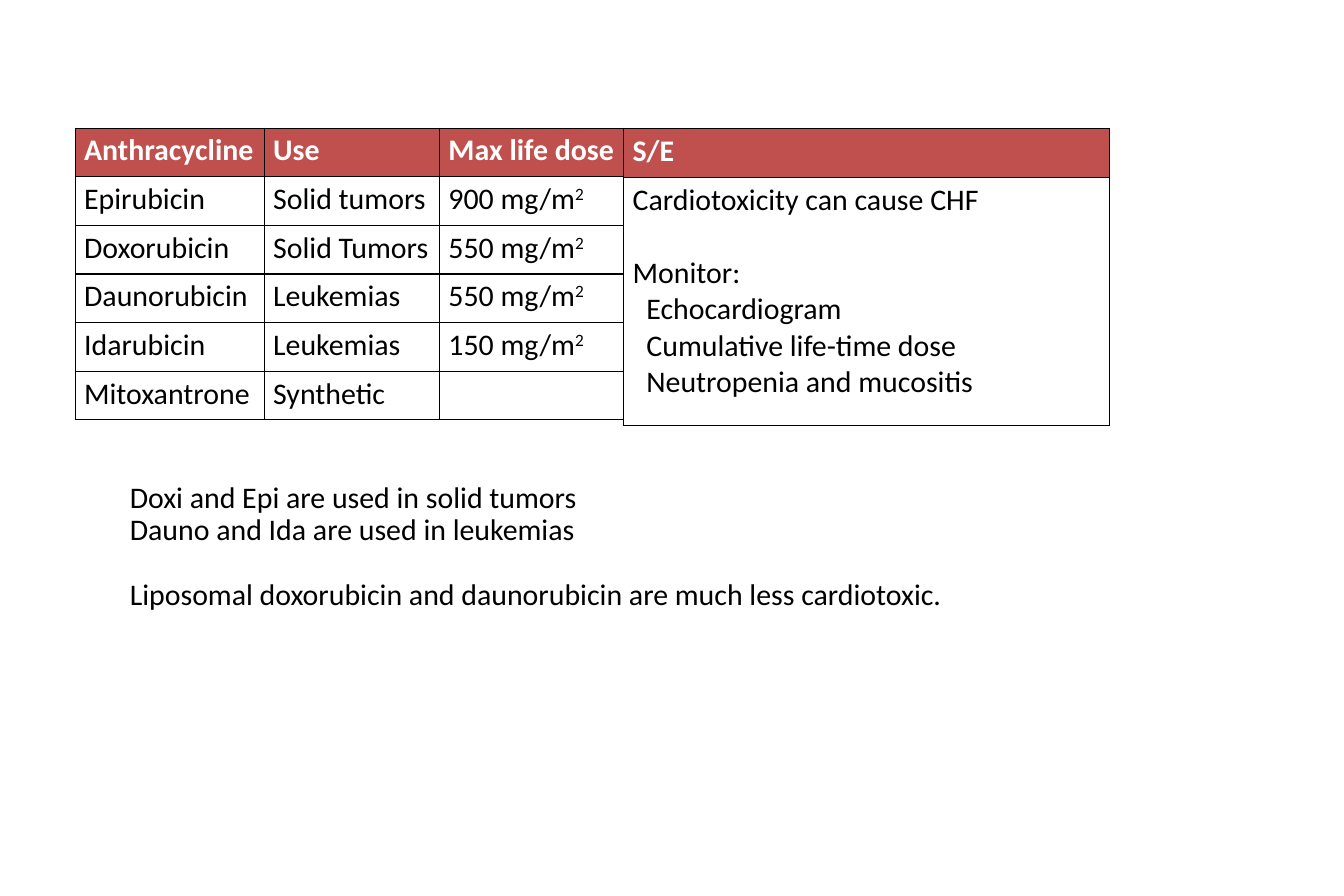
from lxml import etree
from pptx import Presentation
from pptx.dml.color import RGBColor
from pptx.oxml.ns import qn
from pptx.util import Cm, Pt

# Content
DOSE_ROWS = [
    ("Anthracycline", "Use", "Max life dose"),
    ("Epirubicin", "Solid tumors", "900 mg/m²"),
    ("Doxorubicin", "Solid Tumors", "550 mg/m²"),
    ("Daunorubicin", "Leukemias", "550 mg/m²"),
    ("Idarubicin", "Leukemias", "150 mg/m²"),
    ("Mitoxantrone", "Synthetic", ""),
]
# Each line: text, indent in cm, space before in points
SIDE_EFFECTS = [
    ("Cardiotoxicity can cause CHF", 0, 0),
    ("Monitor:", 0, 29.3),
    ("Echocardiogram", 0.39, 0),
    ("Cumulative life-time dose", 0.39, 0),
    ("Neutropenia and mucositis", 0.39, 0),
]
NOTES = [
    ("Doxi and Epi are used in solid tumors", 1.8, 0),
    ("Dauno and Ida are used in leukemias", 1.8, 0),
    ("Liposomal doxorubicin and daunorubicin are much less cardiotoxic.", 1.8, 26),
]

# Layout in cm
TABLE_LEFT, TABLE_TOP = 2.13, 3.63
DOSE_WIDTHS = [5.36, 4.97, 5.22]
EFFECT_WIDTH = 13.77
ROW_HEIGHT, EFFECT_HEIGHT = 1.38, 7.04
BLACK, WHITE, RED = "000000", "FFFFFF", "C0504D"
BORDER_TAGS = ("a:lnL", "a:lnR", "a:lnT", "a:lnB")


def color(code):
    return RGBColor.from_string(code)


def add_span(para, text, ink, bold):
    span = para.add_run()
    span.text = text
    span.font.name = "Calibri"
    span.font.size = Pt(24)
    span.font.bold = bold
    span.font.color.rgb = color(ink)
    return span


def write_lines(frame, lines, ink=BLACK, bold=False, spacing=None):
    for index, (text, indent, before) in enumerate(lines):
        para = frame.add_paragraph() if index else frame.paragraphs[0]
        if indent:
            properties = para._p.get_or_add_pPr()
            properties.set("marL", str(Cm(indent)))
            properties.set("indent", "0")
        if before:
            para.space_before = Pt(before)
        if spacing:
            para.line_spacing = spacing
        if not text:
            para.font.size = Pt(24)
            continue
        # A squared unit ends in a raised 2
        base = text.removesuffix("²")
        add_span(para, base, ink, bold)
        if base != text:
            raised = add_span(para, "2", ink, bold)
            raised._r.get_or_add_rPr().set("baseline", "30000")


def add_borders(cell):
    properties = cell._tc.get_or_add_tcPr()
    for position, tag in enumerate(BORDER_TAGS):
        line = etree.Element(qn(tag), w=str(Pt(1)))
        fill = etree.SubElement(line, qn("a:solidFill"))
        etree.SubElement(fill, qn("a:srgbClr"), val=BLACK)
        properties.insert(position, line)


def add_grid(page, left, top, widths, heights, rows):
    """Draw a table whose cells are lists of lines, with a red header row."""
    grid = page.shapes.add_table(
        len(rows), len(widths), Cm(left), Cm(top), Cm(sum(widths)), Cm(sum(heights))
    ).table
    for column, width in zip(grid.columns, widths):
        column.width = Cm(width)
    for row_index, (height, row) in enumerate(zip(heights, rows)):
        grid.rows[row_index].height = Cm(height)
        header = row_index == 0
        for column_index, lines in enumerate(row):
            cell = grid.cell(row_index, column_index)
            cell.fill.solid()
            cell.fill.fore_color.rgb = color(RED if header else WHITE)
            add_borders(cell)
            write_lines(cell.text_frame, lines, WHITE if header else BLACK, header)


def main():
    deck = Presentation()
    deck.slide_width, deck.slide_height = Cm(38.1), Cm(25.4)
    page = deck.slides.add_slide(deck.slide_layouts[6])

    # Drugs, uses and doses
    dose_cells = [[[(text, 0, 0)] for text in row] for row in DOSE_ROWS]
    add_grid(page, TABLE_LEFT, TABLE_TOP, DOSE_WIDTHS,
             [ROW_HEIGHT] * len(DOSE_ROWS), dose_cells)

    # Notes below the tables
    box = page.shapes.add_textbox(Cm(1.63), Cm(13.56), Cm(31.95), Cm(4.9))
    box.text_frame.word_wrap = True
    write_lines(box.text_frame, NOTES, spacing=0.9)

    # Side effects, joined to the right of the doses
    add_grid(page, TABLE_LEFT + sum(DOSE_WIDTHS), TABLE_TOP + 0.02, [EFFECT_WIDTH],
             [ROW_HEIGHT, EFFECT_HEIGHT], [[[("S/E", 0, 0)]], [SIDE_EFFECTS]])

    deck.save("out.pptx")


if __name__ == "__main__":
    main()
